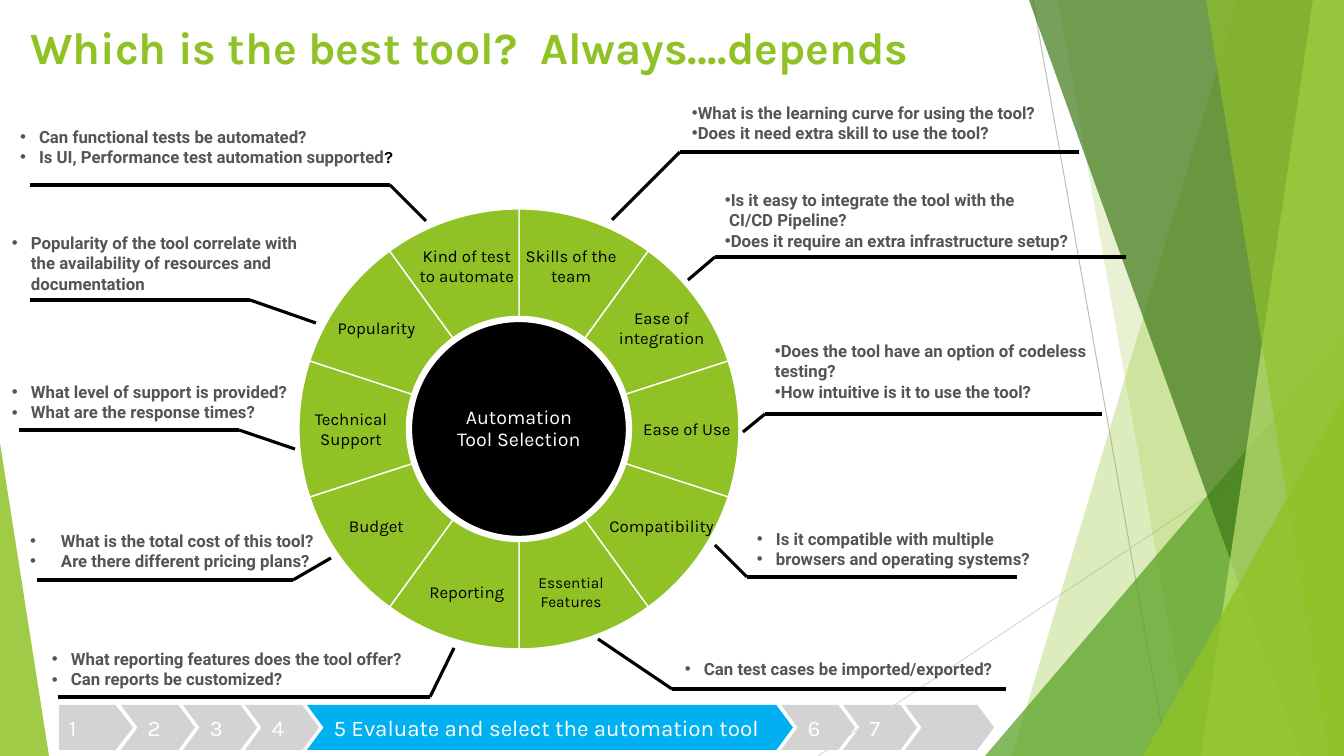
from copy import deepcopy
from math import cos, radians, sin

from lxml import etree
from pptx import Presentation
from pptx.dml.color import RGBColor
from pptx.enum.shapes import MSO_CONNECTOR, MSO_SHAPE
from pptx.enum.text import MSO_ANCHOR, MSO_AUTO_SIZE, PP_ALIGN
from pptx.oxml.ns import qn
from pptx.util import Emu, Pt

SLIDE_W, SLIDE_H = 1344, 756
SCALE = 12192000 / SLIDE_W
COLOURS = {
    "green": "90C226", "leaf": "54A021", "forest": "3F7819", "lime": "C0E474",
    "black": "000000", "white": "FFFFFF", "text": "545454", "step": "D3D3D3",
    "current": "00B0F0", "hairline": "BFBFBF", "faint": "D9D9D9",
}

# Right half of the wheel, clockwise from the top: label, insets, text size
RIGHT_LABELS = [
    ("Skills of the team", (5, 5, 30, 111), 12),
    ("Ease of integration", (81, 5, 5, 30), 12),
    ("Ease of Use", (121, 5, 5, 5), 12),
    ("Compatibility", (81, 20, 5, 5), 12),
    ("Essential Features", (5, 111, 30, 5), 11),
]
LEFT_LABELS = ["Reporting", "Budget", "Technical Support", "Popularity",
               "Kind of test to automate"]

# Box, questions, hanging indent, elbow from box, tip from elbow, length of rule
CALLOUTS = [
    ((682, 98, 367, 50), ["What is the learning curve for using the tool?",
                          "Does it need extra skill to use the tool?"],
     0, (-2, 54), (-68, 68), 399),
    ((715, 185, 464, 72), ["Is it easy to integrate the tool with the\n CI/CD Pipeline?",
                           "Does it require an extra infrastructure setup?"],
     0, (0, 72), (-27, 23), 411),
    ((765, 336, 362, 72), ["Does the tool have an option of codeless testing?",
                           "How intuitive is it to use the tool?"],
     0, (0, 78), (-22, 18), 337),
    ((747, 524, 597, 50), ["Is it compatible with multiple",
                           "browsers and operating systems?"],
     19, (0, 53), (-32, -32), 270),
    ((2, 228, 328, 72), ["Popularity of the tool correlate with the availability "
                         "of resources and documentation"],
     19, (248, 72), (66, 23), -220),
    ((2, 377, 317, 50), ["What level of support is provided?",
                         "What are the response times?"],
     19, (237, 53), (56, 19), -220),
    ((20, 526, 308, 50), ["What is the total cost of this tool?",
                          "Are there different pricing plans?"],
     31, (273, 54), (38, -22), -256),
    ((42, 644, 403, 50), ["What reporting features does the tool offer?",
                          "Can reports be customized?"],
     19, (388, 53), (24, -49), -372),
    ((675, 654, 382, 30), ["Can test cases be imported/exported?"],
     19, (-3, 35), (-74, -50), 334),
]
AUTOMATED = ((10, 122, 410, 50), ["Can functional tests be automated?",
                                  "Is UI, Performance test automation supported"],
             19, (380, 63), (36, 36), -360)


def px(length):
    return Emu(round(length * SCALE))


def rgb(name):
    return RGBColor.from_string(COLOURS[name])


def write(frame, lines, size=12, font="Karla", colour="black", bold=False,
          align=PP_ALIGN.LEFT, anchor=MSO_ANCHOR.TOP, insets=(10, 5, 10, 5),
          wrap=True, hang=0, bullet=False, before=0, after=0, spacing=None, ending=""):
    frame.word_wrap = wrap
    frame.vertical_anchor = anchor
    (frame.margin_left, frame.margin_top,
     frame.margin_right, frame.margin_bottom) = map(px, insets)
    for i, line in enumerate(lines):
        paragraph = frame.add_paragraph() if i else frame.paragraphs[0]
        paragraph.text = line
        paragraph.alignment = align
        paragraph.space_before, paragraph.space_after = Pt(before), Pt(after)
        paragraph.line_spacing = spacing
        props = paragraph._p.get_or_add_pPr()
        props.set("marL", str(px(hang)))
        props.set("indent", str(-px(hang)))
        if bullet:
            etree.SubElement(props, qn("a:buFont")).set("typeface", "Arial")
            etree.SubElement(props, qn("a:buChar")).set("char", "•")
        for run in paragraph.runs:
            style(run.font, size, font, colour, bold)
        for line_break in paragraph._p.findall(qn("a:br")):
            line_break.append(deepcopy(paragraph.runs[0]._r.rPr))
    if ending:
        last = paragraph.add_run()
        last.text = ending
        style(last.font, size, "Karla", "black", bold)


def style(face, size, font, colour, bold):
    face.size, face.name, face.bold = Pt(size), font, bold
    face.color.rgb = rgb(colour)


def paint(shape, colour, alpha=100, outline=None, weight=1):
    shape.shadow.inherit = False
    shape.fill.solid()
    shape.fill.fore_color.rgb = rgb(colour)
    if alpha < 100:
        tint = shape._element.spPr.find(qn("a:solidFill"))[0]
        etree.SubElement(tint, qn("a:alpha")).set("val", str(alpha * 1000))
    if outline:
        shape.line.color.rgb = rgb(outline)
        shape.line.width = Pt(weight)
    else:
        shape.line.fill.background()
    return shape


def preset(slide, kind, box, colour, adjust=None, **look):
    shape = slide.shapes.add_shape(kind, *map(px, box))
    if adjust is not None:
        shape.adjustments[0] = adjust
    return paint(shape, colour, **look)


def polygon(slide, points, colour, **look):
    corners = [(px(x), px(y)) for x, y in points]
    builder = slide.shapes.build_freeform(*corners[0], scale=1.0)
    builder.add_line_segments(corners[1:], close=True)
    return paint(builder.convert_to_shape(), colour, **look)


def rule(slide, start, end, colour="black", weight=2.25):
    line = slide.shapes.add_connector(MSO_CONNECTOR.STRAIGHT, *map(px, start + end))
    line.line.color.rgb = rgb(colour)
    line.line.width = Pt(weight)
    etree.SubElement(line._element.spPr, qn("a:effectLst"))


def backdrop(slide, box):
    left, top, width, height = box
    right, bottom = left + width, top + height

    def panel(upper, lower, colour, alpha):
        polygon(slide, [(left + upper, top), (right, top), (right, bottom),
                        (left + lower, bottom)], colour, alpha=alpha)

    def wedge(x, rise, run, colour, alpha, apex=1):
        preset(slide, MSO_SHAPE.ISOSCELES_TRIANGLE,
               (left + x, bottom - rise, run, rise), colour, apex, alpha=alpha)

    rule(slide, (left + 1033, top), (left + 1167, bottom), "hairline", 0.75)
    rule(slide, (right, top + 406), (left + 818, bottom), "faint", 0.75)
    panel(1238, 1012, "green", 30)
    panel(1058, 1192, "green", 20)
    wedge(985, 420, 359, "leaf", 72)
    panel(1029, 1301, "forest", 70)
    panel(1313, 1201, "lime", 70)
    panel(1206, 1329, "green", 65)
    wedge(1143, 360, 201, "green", 80)
    wedge(0, 313, 49, "green", 85, apex=0)


def heading(slide, box):
    title = slide.shapes.title
    title.left, title.top, title.width, title.height = map(px, box)
    write(title.text_frame, ["Which is the best tool?  Always….depends"], size=32,
          colour="green", bold=True, insets=(0, 0, 0, 0))
    slide.shapes._spTree.append(title._element)  # in front of the backdrop


def wheel(slide, box):
    left, top, size, _ = box
    radius = size / 2
    cx, cy = left + radius, top + radius
    mirrored = [(label, (r, t, l, b), 12) for label, (_, (l, t, r, b), _)
                in zip(LEFT_LABELS, reversed(RIGHT_LABELS))]
    sectors = RIGHT_LABELS + mirrored
    sweep = 360 // len(sectors)
    for i, (label, insets, points) in enumerate(sectors):
        angles = [radians(a - 90) for a in range(i * sweep, (i + 1) * sweep + 1, 2)]
        arc = [(cx + radius * cos(a), cy + radius * sin(a)) for a in angles]
        sector = polygon(slide, [(cx, cy)] + arc, "green", outline="white")
        write(sector.text_frame, [label], size=points, align=PP_ALIGN.CENTER,
              anchor=MSO_ANCHOR.MIDDLE, insets=insets, before=2.4)
    hub = preset(slide, MSO_SHAPE.OVAL, (cx - size / 4, cy - size / 4, size / 2, size / 2),
                 "black", outline="white", weight=4.5)
    write(hub.text_frame, ["Automation Tool Selection"], size=14, colour="white",
          align=PP_ALIGN.CENTER, anchor=MSO_ANCHOR.MIDDLE, insets=(5, 5, 5, 5),
          before=2.8, after=5, spacing=0.95)


def callout(slide, box, questions, hang, elbow, tip, length, ending=""):
    note = slide.shapes.add_textbox(*map(px, box)).text_frame
    write(note, questions, font="Roboto", colour="text", bold=True, hang=hang,
          bullet=True, ending=ending)
    note.auto_size = MSO_AUTO_SIZE.SHAPE_TO_FIT_TEXT
    x, y = box[0] + elbow[0], box[1] + elbow[1]
    rule(slide, (x + tip[0], y + tip[1]), (x, y))
    rule(slide, (x + length, y), (x, y))


def progress(slide, box):
    x, top, _, height = box
    labels = ["1", "2", "3", "4", "5 Evaluate and select the automation tool", "6", "7", ""]
    widths = [74] * 4 + [486, 74, 74, 89]
    overlap = 12
    for i, (label, width) in enumerate(zip(labels, widths)):
        kind, point = (MSO_SHAPE.CHEVRON, 0.37) if i else (MSO_SHAPE.PENTAGON, 0.39)
        colour = "current" if len(label) > 1 else "step"
        step = preset(slide, kind, (x, top, width, height), colour, point)
        if label:
            write(step.text_frame, [label], size=16, colour="white", wrap=False,
                  anchor=MSO_ANCHOR.MIDDLE, insets=(10, 10, 10, 10), hang=19)
        x += width - overlap


def main():
    deck = Presentation()
    deck.slide_width, deck.slide_height = px(SLIDE_W), px(SLIDE_H)
    slide = deck.slides.add_slide(deck.slide_layouts[5])
    backdrop(slide, (0, 0, SLIDE_W, SLIDE_H))
    heading(slide, (30, 20, 1005, 70))
    wheel(slide, (299, 209, 440, 440))
    for item in CALLOUTS:
        callout(slide, *item)
    callout(slide, *AUTOMATED, ending="?")
    progress(slide, (59, 705, 935, 45))
    deck.save("out.pptx")


if __name__ == "__main__":
    main()
